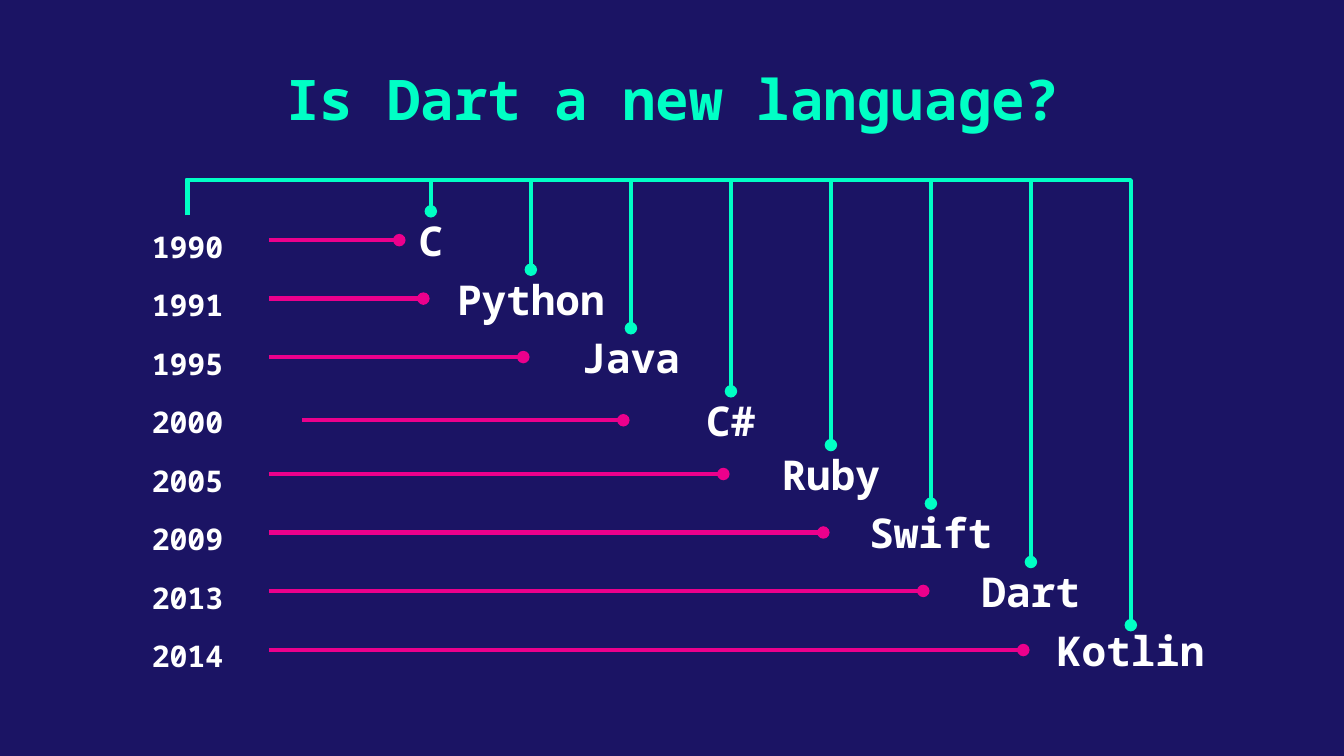
from dataclasses import dataclass

from lxml import etree
from pptx import Presentation
from pptx.dml.color import RGBColor
from pptx.enum.shapes import MSO_CONNECTOR
from pptx.enum.text import MSO_ANCHOR, PP_ALIGN
from pptx.oxml.ns import qn
from pptx.util import Inches, Pt

STRAIGHT = MSO_CONNECTOR.STRAIGHT
ELBOW = MSO_CONNECTOR.ELBOW
TOP = MSO_ANCHOR.TOP
MIDDLE = MSO_ANCHOR.MIDDLE
CENTER = PP_ALIGN.CENTER

GRID_COLUMNS = 100
GRID_ROWS = 56.25


@dataclass(frozen=True)
class Theme:
    font: str = "Noto Sans Mono"
    background: str = "1B1464"
    title: str = "00FFC5"
    text: str = "FFFFFF"
    branch: str = "00FFC5"
    pointer: str = "EC008C"
    title_size: float = 30
    year_size: float = 16
    language_size: float = 22
    line_width: float = 2.25


@dataclass(frozen=True)
class Entry:
    year: str
    language: str
    width: float = 16
    height: float = 4.3
    nudge: float = 0
    pointer_start: float = 20


ENTRIES = [
    Entry("1990", "C", width=4.7),
    Entry("1991", "Python"),
    Entry("1995", "Java"),
    Entry("2000", "C#", nudge=0.35, pointer_start=22.5),
    Entry("2005", "Ruby"),
    Entry("2009", "Swift"),
    Entry("2013", "Dart"),
    Entry("2014", "Kotlin", height=3.7, nudge=0.35),
]

YEAR_LEFT, YEAR_TOP, YEAR_WIDTH, YEAR_HEIGHT = 7.9, 16, 12.1, 3.9
LANGUAGE_CENTER, LANGUAGE_TOP = 32.06, 15.72
COLUMN_STEP, ROW_STEP = 7.44, 4.35
TRUNK_X = 13.95
RAIL_Y = 13.4


class TimelineSlide:
    def __init__(self, deck, theme):
        self.theme = theme
        self.column = deck.slide_width / GRID_COLUMNS
        self.row = deck.slide_height / GRID_ROWS
        self.page = deck.slides.add_slide(deck.slide_layouts[6])
        fill = self.page.background.fill
        fill.solid()
        fill.fore_color.rgb = RGBColor.from_string(theme.background)

    def x(self, columns):
        return round(columns * self.column)

    def y(self, rows):
        return round(rows * self.row)

    def label(self, text, left, top, width, height, size, color, anchor=TOP):
        box = self.page.shapes.add_textbox(
            self.x(left), self.y(top), self.x(width), self.y(height))
        frame = box.text_frame
        frame.word_wrap = True
        frame.vertical_anchor = anchor
        frame.margin_left = frame.margin_right = Inches(0.1)
        frame.margin_top = frame.margin_bottom = Inches(0.1 if anchor == TOP else 0)
        para = frame.paragraphs[0]
        para.alignment = CENTER
        span = para.add_run()
        span.text = text
        span.font.name = self.theme.font
        span.font.size = Pt(size)
        span.font.bold = True
        span.font.color.rgb = RGBColor.from_string(color)

    def line(self, kind, start, end, color):
        connector = self.page.shapes.add_connector(
            kind, self.x(start[0]), self.y(start[1]), self.x(end[0]), self.y(end[1]))
        connector.line.width = Pt(self.theme.line_width)
        connector.line.color.rgb = RGBColor.from_string(color)
        outline = connector.line._get_or_add_ln()
        etree.SubElement(outline, qn("a:tailEnd"), type="oval")
        etree.SubElement(connector._element.spPr, qn("a:effectLst"))
        return connector

    def pointer(self, left, right, height):
        self.line(STRAIGHT, (left, height), (right, height), self.theme.pointer)

    def branch(self, start, end, rail):
        drop = end[1] - start[1]
        span = end[0] - start[0]
        middle_x = (start[0] + end[0]) / 2
        middle_y = (start[1] + end[1]) / 2
        connector = self.line(
            ELBOW,
            (middle_x + drop / 2, middle_y - span / 2),
            (middle_x - drop / 2, middle_y + span / 2),
            self.theme.branch)
        properties = connector._element.spPr
        properties.find(qn("a:xfrm")).set("rot", str(270 * 60000))
        bend = round((rail - start[1]) / drop * 100000)
        adjustments = properties.find(qn("a:prstGeom")).find(qn("a:avLst"))
        etree.SubElement(adjustments, qn("a:gd"), name="adj1", fmla=f"val {bend}")


def main():
    theme = Theme()
    deck = Presentation()
    deck.slide_width = Inches(10)
    deck.slide_height = Inches(5.625)
    slide = TimelineSlide(deck, theme)
    slide.label("Is Dart a new language?", 7.9, 3.8, 84.3, 7.3,
                theme.title_size, theme.title)

    places = []
    for index, entry in enumerate(ENTRIES):
        center = LANGUAGE_CENTER + index * COLUMN_STEP
        top = LANGUAGE_TOP + index * ROW_STEP + entry.nudge
        places.append((entry, center, top))
        slide.label(entry.year, YEAR_LEFT, YEAR_TOP + index * ROW_STEP,
                    YEAR_WIDTH, YEAR_HEIGHT, theme.year_size, theme.text)
        slide.label(entry.language, center - entry.width / 2, top,
                    entry.width, entry.height, theme.language_size, theme.text, MIDDLE)

    for entry, center, top in reversed(places):
        slide.branch((TRUNK_X, YEAR_TOP), (center, top), RAIL_Y)
    for entry, center, top in places:
        slide.pointer(entry.pointer_start, center - entry.width / 2,
                      top + entry.height / 2)

    deck.save("out.pptx")


if __name__ == "__main__":
    main()
